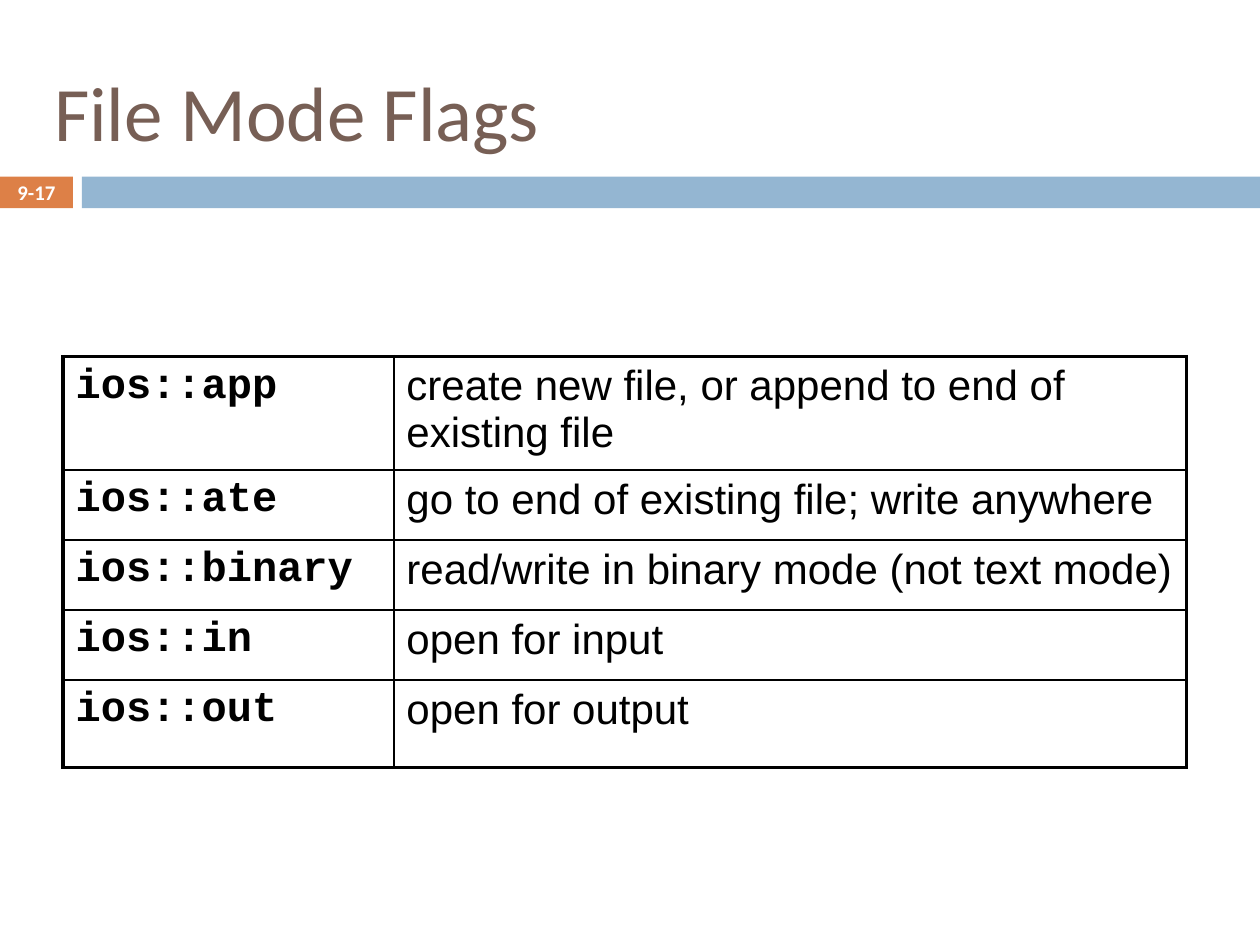
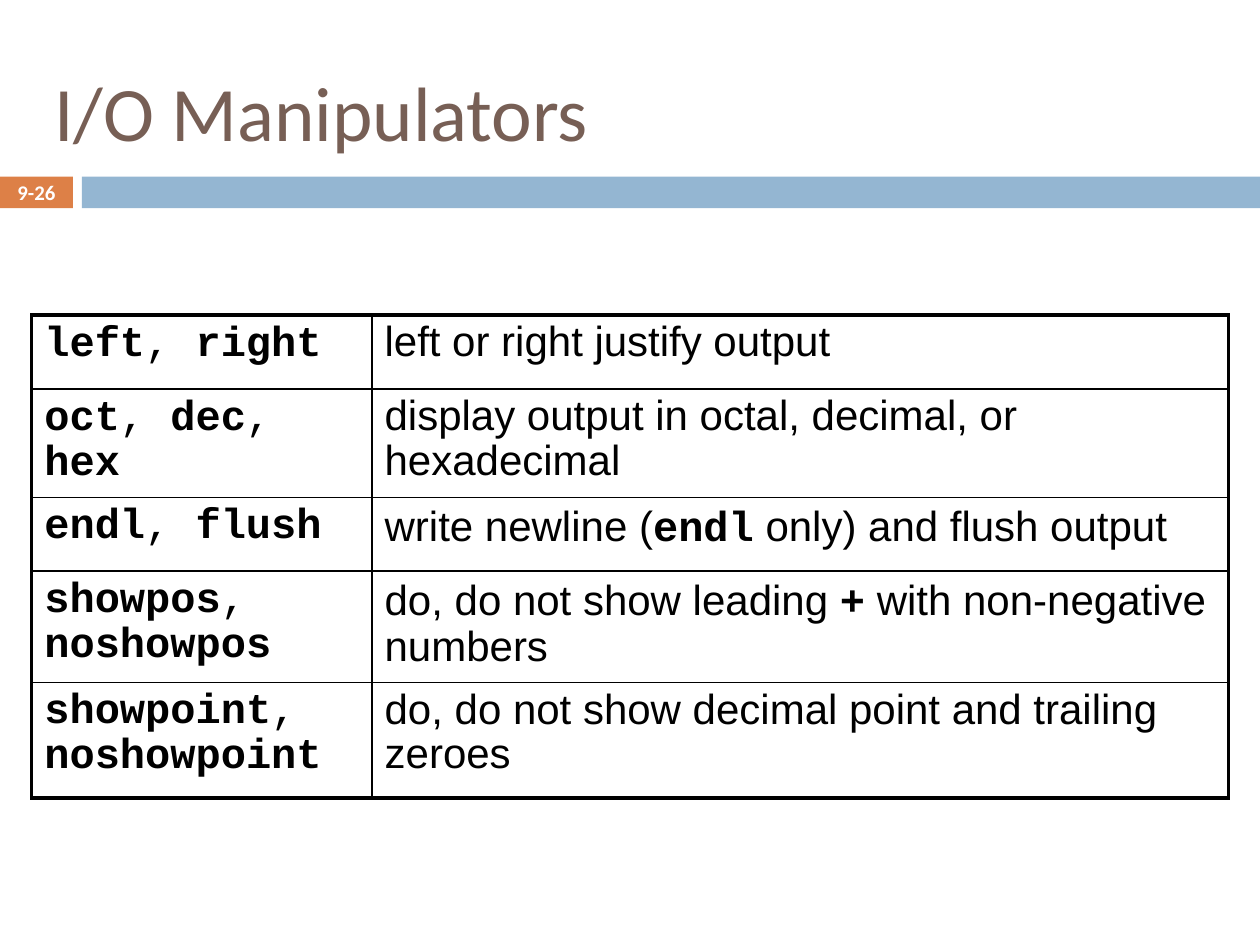
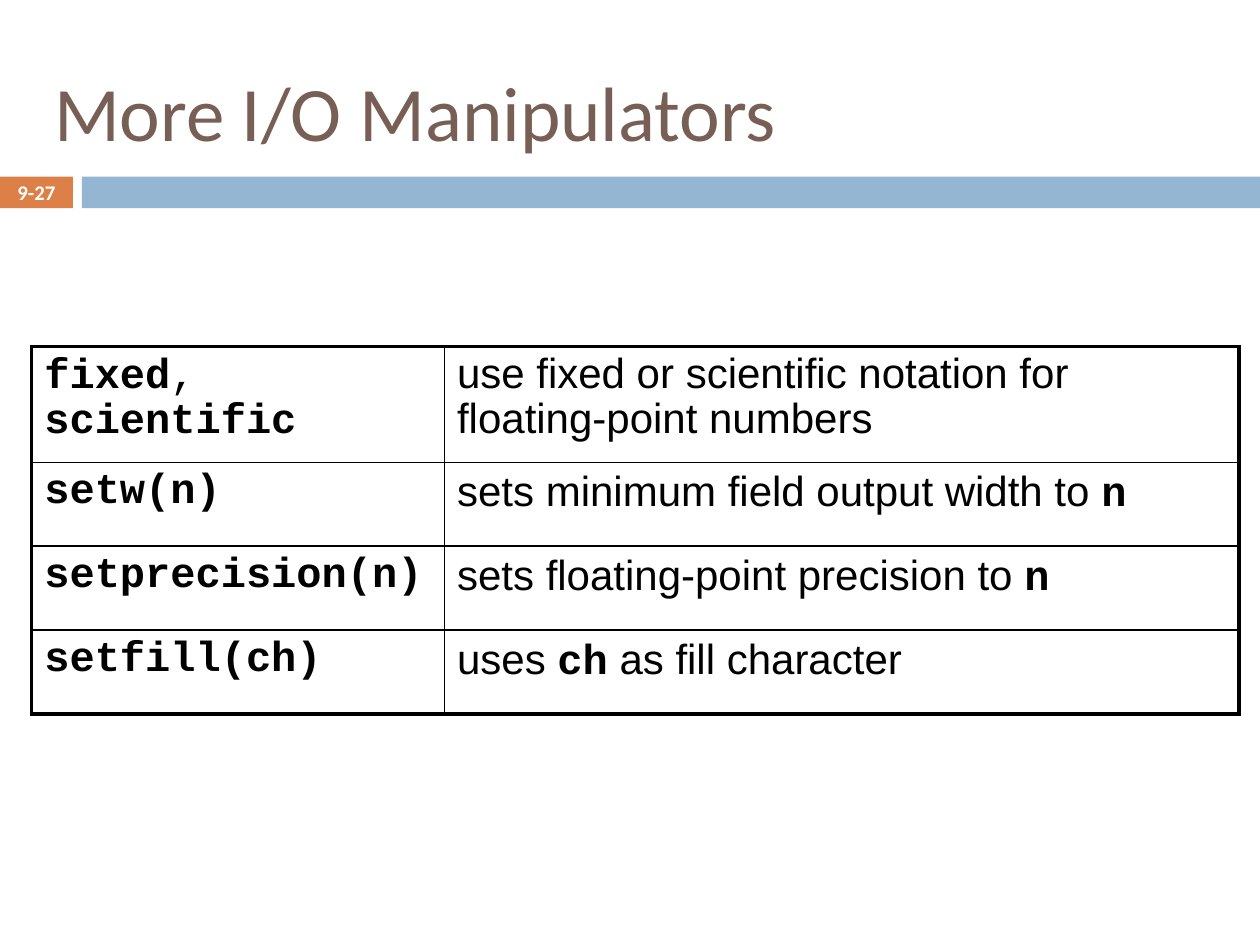
from dataclasses import dataclass

from lxml.etree import SubElement
from pptx import Presentation
from pptx.dml.color import RGBColor
from pptx.enum.shapes import MSO_SHAPE
from pptx.enum.text import MSO_ANCHOR, PP_ALIGN
from pptx.oxml.ns import qn
from pptx.util import Cm, Pt


@dataclass(frozen=True)
class Theme:
    # Colours
    title: str = "775F55"
    tag: str = "DD8047"
    band: str = "94B6D2"
    ink: str = "000000"
    paper: str = "FFFFFF"
    # Fonts
    head: str = "Calibri"
    body: str = "Arial"
    code: str = "Courier New"
    # Type sizes and line widths, in points
    big: float = 44
    mid: float = 24
    small: float = 11.9
    thick: float = 2.25
    thin: float = 1


THEME = Theme()


def style(para, size, color, name=None, bold=None):
    font = para.font
    font.size = Pt(size)
    font.color.rgb = RGBColor.from_string(color)
    font.name = name
    font.bold = bold


def add_bar(slide, left, width, color):
    bar = slide.shapes.add_shape(
        MSO_SHAPE.RECTANGLE, Cm(left), Cm(3.56), Cm(width), Cm(0.64))
    bar.shadow.inherit = False
    bar.fill.solid()
    bar.fill.fore_color.rgb = RGBColor.from_string(color)
    bar.line.fill.background()


def add_label(slide, text, left, top, width, height):
    box = slide.shapes.add_textbox(Cm(left), Cm(top), Cm(width), Cm(height))
    frame = box.text_frame
    frame.word_wrap = True
    frame.vertical_anchor = MSO_ANCHOR.MIDDLE
    para = frame.paragraphs[0]
    para.text = text
    return para


def add_frame(deck, title, number):
    """Add a slide with its title, bands and page number."""
    slide = deck.slides.add_slide(deck.slide_layouts[6])
    add_bar(slide, 0, 1.47, THEME.tag)
    add_bar(slide, 1.65, 23.75, THEME.band)
    para = add_label(slide, title, 0.84, 0.84, 23.95, 2.77)
    style(para, THEME.big, THEME.title, THEME.head)
    para = add_label(slide, number, 0, 3.53, 1.47, 0.69)
    para.alignment = PP_ALIGN.CENTER
    style(para, THEME.small, THEME.paper, THEME.head, True)
    return slide


def set_edge(cell, side, width):
    line = SubElement(cell._tc.get_or_add_tcPr(), qn(f"a:ln{side}"),
                      w=str(Pt(width)))
    fill = SubElement(line, qn("a:solidFill"))
    SubElement(fill, qn("a:srgbClr"), val=THEME.ink)


def fill_cell(cell, text, plain, space):
    """Write text; parts between backticks are bold code."""
    para = cell.text_frame.paragraphs[0]
    para.line_spacing = space
    style(para, THEME.mid, THEME.ink)
    for i, part in enumerate(text.split("`")):
        if part:
            run = para.add_run()
            run.text = part
            run.font.name = THEME.code if i % 2 else plain
            run.font.bold = i % 2 == 1


def add_grid(slide, left, top, cols, highs, rows, space=None):
    grid = slide.shapes.add_table(
        len(rows), len(cols), Cm(left), Cm(top),
        Cm(sum(cols)), Cm(sum(highs))).table
    grid.first_row = grid.horz_banding = False
    for col, width in zip(grid.columns, cols):
        col.width = Cm(width)
    for row, high in zip(grid.rows, highs):
        row.height = Cm(high)
    for y, row in enumerate(rows):
        for x, text in enumerate(row):
            cell = grid.cell(y, x)
            fill_cell(cell, text, THEME.body if x else THEME.code, space)
            # Thick lines around the table, thin ones inside
            outer = {"L": x == 0, "R": x == len(cols) - 1,
                     "T": y == 0, "B": y == len(rows) - 1}
            for side, edge in outer.items():
                set_edge(cell, side, THEME.thick if edge else THEME.thin)
            cell.fill.background()


def main():
    deck = Presentation()
    deck.slide_width, deck.slide_height = Cm(25.4), Cm(19.05)

    # File modes
    slide = add_frame(deck, "File Mode Flags", "9-17")
    add_grid(slide, 1.27, 7.19, [6.67, 15.98], [2.28, 1.41, 1.41, 1.41, 1.76], [
        ("`ios::app`", "create new file, or append to end of existing file"),
        ("`ios::ate`", "go to end of existing file; write anywhere"),
        ("`ios::binary`", "read/write in binary mode (not text mode)"),
        ("`ios::in`", "open for input"),
        ("`ios::out`", "open for output"),
    ])

    # Plain manipulators
    slide = add_frame(deck, "I/O Manipulators", "9-26")
    add_grid(slide, 0.64, 6.35, [6.86, 17.27], [1.49, 2.18, 1.49, 2.24, 2.33], [
        ("`left`, `right`", "left or right justify output"),
        ("`oct`, `dec`, `hex`",
         "display output in octal, decimal, or hexadecimal"),
        ("`endl`, `flush`",
         "write newline (`endl` only) and flush output"),
        ("`showpos`, `noshowpos`",
         "do, do not show leading `+` with non-negative numbers"),
        ("`showpoint`, `noshowpoint`",
         "do, do not show decimal point and trailing zeroes"),
    ], 0.95)

    # Number format manipulators
    slide = add_frame(deck, "More I/O Manipulators", "9-27")
    add_grid(slide, 0.64, 6.99, [8.32, 16.02], [2.33] + [1.69] * 3, [
        ("`fixed`, `scientific`",
         "use fixed or scientific notation for floating-point numbers"),
        ("`setw(n)`", "sets minimum field output width to `n`"),
        ("`setprecision(n)`", "sets floating-point precision to `n`"),
        ("`setfill(ch)`", "uses `ch` as fill character"),
    ], 0.95)

    deck.save("out.pptx")


if __name__ == "__main__":
    main()
